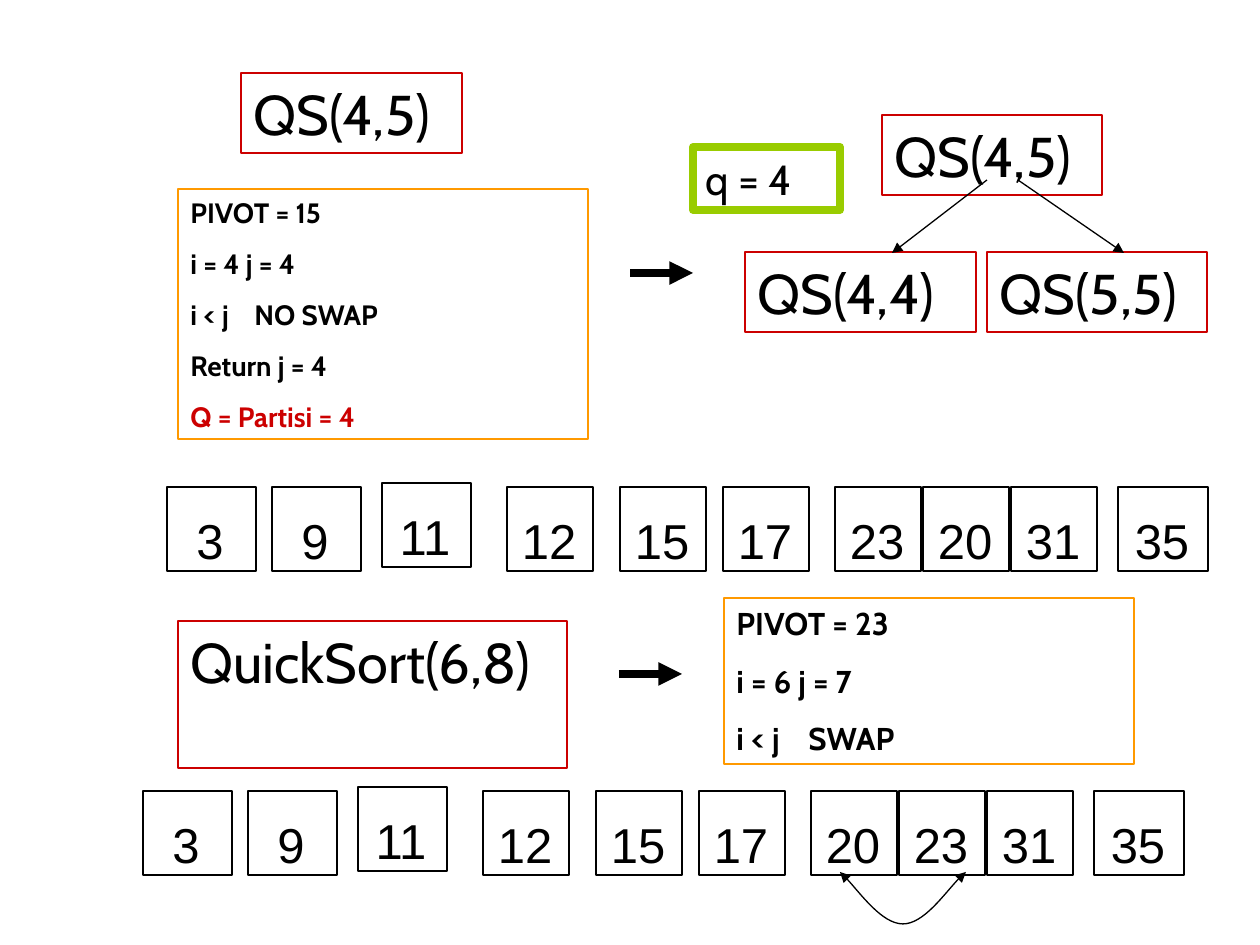
"""Build a slide that traces two partition steps of quicksort."""
from dataclasses import dataclass

from lxml import etree
from pptx import Presentation
from pptx.dml.color import RGBColor
from pptx.enum.shapes import MSO_CONNECTOR, MSO_SHAPE
from pptx.enum.text import MSO_ANCHOR, MSO_AUTO_SIZE, PP_ALIGN
from pptx.oxml.ns import qn
from pptx.util import Emu, Pt

RECT = MSO_SHAPE.RECTANGLE
LINE = MSO_CONNECTOR.STRAIGHT
TOP = MSO_ANCHOR.TOP
GROW = MSO_AUTO_SIZE.SHAPE_TO_FIT_TEXT
LEFT, MID = PP_ALIGN.LEFT, PP_ALIGN.CENTER

BLACK = RGBColor(0x00, 0x00, 0x00)
RED = RGBColor(0xCC, 0x00, 0x00)
AMBER = RGBColor(0xFF, 0x99, 0x00)
GREEN = RGBColor(0x99, 0xCC, 0x00)

SCALE = 914400 / 126
SIDE = 84


@dataclass
class Box:
    left: int
    top: int
    width: int
    height: int
    text: str
    size: int = 32
    line: RGBColor = RED
    weight: float = 0.75
    bold: bool = False
    gap: float = 0
    tab: int = 0
    last: RGBColor = BLACK


@dataclass
class Arrow:
    start: tuple[int, int]
    end: tuple[int, int]
    weight: float = 0.75


@dataclass
class Cell:
    left: int
    width: int
    rise: int = 0


@dataclass
class Row:
    shift: int
    top: int
    values: list[int]


BOXES = [
    Box(241, 73, 221, 80, "QS(4,5)"),
    Box(178, 189, 410, 250,
        "PIVOT = 15\ni = 4 j = 4\ni < j\tNO SWAP\nReturn j = 4\nQ = Partisi = 4",
        size=16, line=AMBER, bold=True, gap=10, tab=64, last=RED),
    Box(882, 115, 220, 80, "QS(4,5)"),
    Box(987, 252, 220, 80, "QS(5,5)"),
    Box(745, 252, 231, 80, "QS(4,4)"),
    Box(693, 147, 147, 63, "q = 4", size=24, line=GREEN, weight=4.5),
    Box(178, 621, 389, 147, "QuickSort(6,8)"),
    Box(724, 598, 410, 166, "PIVOT = 23\ni = 6 j = 7\ni < j\tSWAP",
        size=18, line=AMBER, bold=True, gap=11.2, tab=72),
]
ARROWS = [
    Arrow((987, 180), (892, 253)),
    Arrow((1018, 180), (1124, 253)),
    Arrow((630, 273), (693, 273), 4.5),
    Arrow((619, 674), (682, 674), 4.5),
]
CELLS = [
    Cell(167, 89), Cell(272, 89), Cell(382, 89, 4), Cell(507, 86),
    Cell(620, 86), Cell(723, 86), Cell(835, 86), Cell(923, 86),
    Cell(1011, 86), Cell(1118, 90),
]
ROWS = [
    Row(0, 487, [3, 9, 11, 12, 15, 17, 23, 20, 31, 35]),
    Row(-24, 791, [3, 9, 11, 12, 15, 17, 20, 23, 31, 35]),
]
SWAP = [(840, 872), (851, 881), (882, 924), (903, 924),
        (924, 924), (953, 882), (966, 872)]


def px(*nums: int) -> list[Emu]:
    return [Emu(round(num * SCALE)) for num in nums]


def write(shape, text: str, *, size: int, font: str = "Cabin",
          bold: bool = False, gap: float = 0, tab: int = 0,
          last: RGBColor = BLACK, align=LEFT, wrap: bool = True) -> None:
    frame = shape.text_frame
    frame.word_wrap = wrap
    frame.auto_size = GROW
    frame.vertical_anchor = TOP
    lines = text.split("\n")
    for num, words in enumerate(lines):
        para = frame.paragraphs[0] if num == 0 else frame.add_paragraph()
        para.alignment = align
        if num:
            para.space_before = Pt(gap)
        if "\t" in words:
            stops = etree.SubElement(para._p.get_or_add_pPr(), qn("a:tabLst"))
            etree.SubElement(stops, qn("a:tab"), pos=str(px(tab)[0]), algn="l")
        run = para.add_run()
        run.text = words
        run.font.name, run.font.size, run.font.bold = font, Pt(size), bold
        run.font.color.rgb = last if num == len(lines) - 1 else BLACK


def ink(shape, color: RGBColor, weight: float, *ends: str) -> None:
    shape.line.color.rgb = color
    shape.line.width = Pt(weight)
    for end in ends:
        etree.SubElement(shape.line._get_or_add_ln(), qn(end), type="triangle")


def frame_at(shapes, left: int, top: int, width: int, height: int,
             color: RGBColor, weight: float):
    shape = shapes.add_shape(RECT, *px(left, top, width, height))
    shape.shadow.inherit = False
    shape.fill.background()
    ink(shape, color, weight)
    return shape


def draw_box(shapes, box: Box) -> None:
    shape = frame_at(shapes, box.left, box.top, box.width, box.height,
                     box.line, box.weight)
    write(shape, box.text, size=box.size, bold=box.bold, gap=box.gap,
          tab=box.tab, last=box.last)


def draw_arrow(shapes, arrow: Arrow) -> None:
    line = shapes.add_connector(LINE, *px(*arrow.start, *arrow.end))
    ink(line, BLACK, arrow.weight, "a:tailEnd")
    etree.SubElement(line._element.spPr, qn("a:effectLst"))


def draw_row(shapes, row: Row) -> None:
    for cell, value in zip(CELLS, row.values):
        left, top = cell.left + row.shift, row.top - cell.rise
        frame_at(shapes, left, top, cell.width, SIDE, BLACK, 1.5)
        width = 54 if value < 10 else 82
        start = left + (cell.width - width) // 2 - 1
        label = shapes.add_textbox(*px(start, top + 17, width, 72))
        write(label, str(value), size=28, font="Arial", align=MID, wrap=False)


def draw_swap(shapes, points: list[tuple[int, int]]) -> None:
    pen = shapes.build_freeform(*points[0], scale=SCALE)
    pen.add_line_segments(points[1:], close=False)
    curve = pen.convert_to_shape()
    curve.shadow.inherit = False
    curve.fill.background()
    ink(curve, BLACK, 0.75, "a:headEnd", "a:tailEnd")
    route = next(curve._element.iter(qn("a:path")))
    legs = route.findall(qn("a:lnTo"))
    for first in range(0, len(legs), 3):
        bend = etree.SubElement(route, qn("a:cubicBezTo"))
        for leg in legs[first:first + 3]:
            bend.append(leg[0])
            route.remove(leg)


def main() -> None:
    deck = Presentation()
    deck.slide_width, deck.slide_height = px(1260, 945)
    shapes = deck.slides.add_slide(deck.slide_layouts[6]).shapes
    for box in BOXES:
        draw_box(shapes, box)
    for arrow in ARROWS:
        draw_arrow(shapes, arrow)
    for row in ROWS:
        draw_row(shapes, row)
    draw_swap(shapes, SWAP)
    deck.save("out.pptx")


if __name__ == "__main__":
    main()
